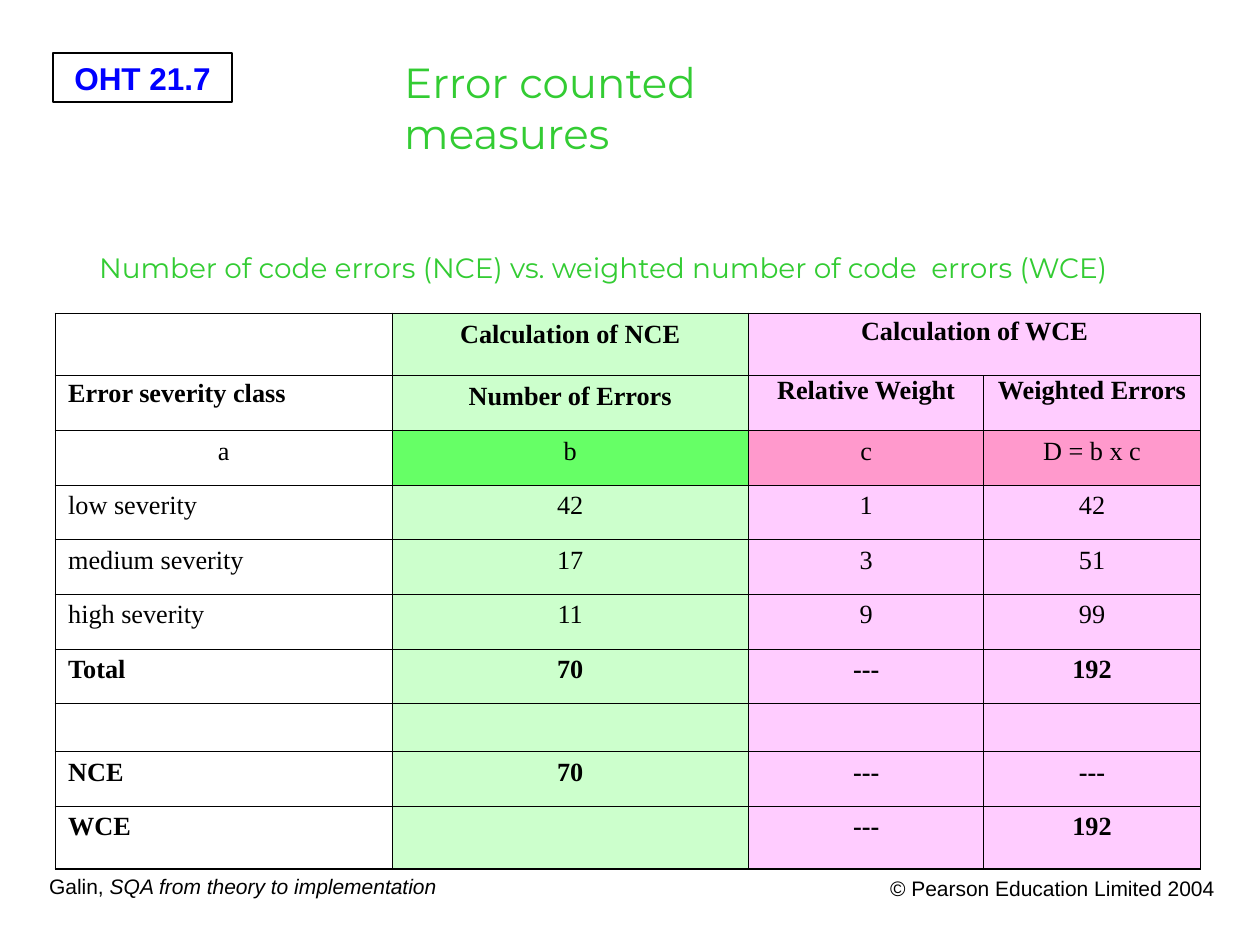
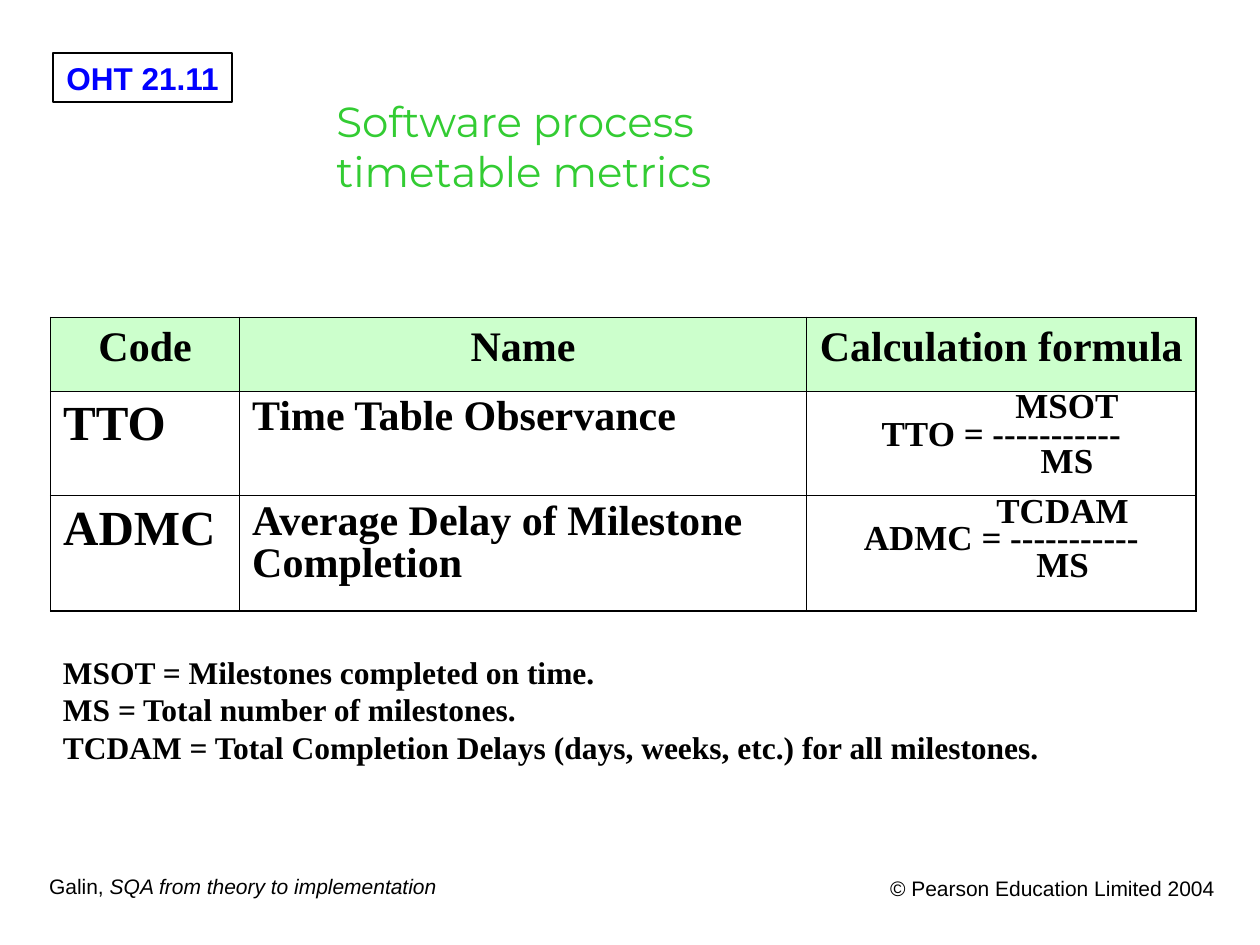
from lxml.etree import SubElement
from pptx import Presentation
from pptx.dml.color import RGBColor
from pptx.enum.shapes import MSO_SHAPE as Shape
from pptx.enum.text import MSO_ANCHOR as Anchor, PP_ALIGN as Align
from pptx.oxml.ns import qn
from pptx.util import Cm, Pt

BLACK, BLUE, GREEN = "000000", "0000FF", "33CC33"
PALE_GREEN, BRIGHT_GREEN = "CCFFCC", "66FF66"
PALE_PINK, PINK = "FFCCFF", "FF99CC"
SERIF, SANS, DISPLAY = "Times New Roman", "Arial", "Montserrat"
THIN, THICK = 0.45, 1.08


def rgb(value):
    """Turn a hex string into a colour."""
    return RGBColor.from_string(value)


def write(tf, text, size=12, font=SANS, color=BLACK, bold=False,
          align=Align.LEFT, spacing=None, indents=(), italic_tail=""):
    """Fill a text frame, one paragraph a line, with an optional italic ending."""
    for i, line in enumerate(text.split("\n")):
        p = tf.paragraphs[0] if i == 0 else tf.add_paragraph()
        p.alignment = align
        if spacing:
            p.line_spacing = spacing
        if indents and indents[i]:
            p._p.get_or_add_pPr().set("marL", str(Cm(indents[i])))
        for part, italic in ((line, False), (italic_tail, True)):
            if part:
                r = p.add_run()
                r.text = part
                r.font.size, r.font.name = Pt(size), font
                r.font.bold, r.font.italic = bold, italic
                r.font.color.rgb = rgb(color)


def draw_border(cell, side, width):
    """Add one border line to a table cell."""
    ln = SubElement(cell._tc.get_or_add_tcPr(), qn(f"a:ln{side}"), w=str(Pt(width)))
    fill = SubElement(ln, qn("a:solidFill"))
    SubElement(fill, qn("a:srgbClr"), val=BLACK)


class Deck:
    """Hold the shared style and the current slide."""

    def __init__(self):
        """Start a 4:3 presentation."""
        self.prs = Presentation()
        self.prs.slide_width, self.prs.slide_height = Cm(25.4), Cm(19.05)
        self.s = None

    def slide(self, number):
        """Add a slide with its number tag and footers."""
        self.s = self.prs.slides.add_slide(self.prs.slide_layouts[6])
        self.tag(f"OHT {number}")
        self.text((0.74, 17.48, 8.33, 0.76), "Galin, ", wrap=False,
                  italic_tail="SQA from theory to implementation")
        self.text((16.87, 17.53, 7.87, 0.99), "© Pearson Education Limited 2004",
                  align=Align.RIGHT)

    def tag(self, label):
        """Draw the framed slide number."""
        sp = self.s.shapes.add_shape(Shape.RECTANGLE, Cm(1.07), Cm(1.07), Cm(3.61), Cm(0.99))
        sp.shadow.inherit = False
        sp.fill.background()
        sp.line.color.rgb = rgb(BLACK)
        sp.line.width = Pt(0.75)
        tf = sp.text_frame
        tf.word_wrap, tf.vertical_anchor = False, Anchor.TOP
        write(tf, label, size=18, color=BLUE, bold=True, align=Align.CENTER)

    def text(self, box, text, wrap=True, **style):
        """Add a text box."""
        sp = self.s.shapes.add_textbox(*map(Cm, box))
        sp.text_frame.word_wrap = wrap
        write(sp.text_frame, text, **style)

    def title(self, box, text, size=24):
        """Add a green heading centred as a block."""
        self.text(box, text, wrap=False, size=size, font=DISPLAY, color=GREEN)

    def table(self, left, top, widths, heights, rows, style, fill, merges=()):
        """Add a table; style and fill give the look of a cell by row and column."""
        shape = self.s.shapes.add_table(len(heights), len(widths), Cm(left), Cm(top),
                                        Cm(sum(widths)), Cm(sum(heights)))
        table = shape.table
        table.first_row = table.horz_banding = False
        for column, width in zip(table.columns, widths):
            column.width = Cm(width)
        for row, height in zip(table.rows, heights):
            row.height = Cm(height)
        for start, end in merges:
            table.cell(*start).merge(table.cell(*end))
        for i, row in enumerate(rows):
            for j, text in enumerate(row):
                cell = table.cell(i, j)
                last = j + cell.span_width == len(widths)
                edges = {"L": j == 0, "R": last, "T": i == 0, "B": i == len(rows) - 1}
                for side, outer in edges.items():
                    draw_border(cell, side, THICK if outer else THIN)
                color = fill(i, j)
                if color:
                    cell.fill.solid()
                    cell.fill.fore_color.rgb = rgb(color)
                else:
                    cell.fill.background()
                if text:
                    write(cell.text_frame, text, font=SERIF, **style(i, j))
                else:
                    cell.margin_top = cell.margin_bottom = 0


def error_style(i, j):
    """Give the text format of an error table cell."""
    spacing = {(0, 2): 0.9, (1, 0): 0.9, (1, 2): 0.75, (1, 3): 0.75}.get((i, j))
    left = j == 0 and i != 2
    return dict(size=15, bold=not 2 <= i <= 5, spacing=spacing,
                align=Align.LEFT if left else Align.CENTER)


def error_fill(i, j):
    """Give the fill of an error table cell."""
    colors = (None, BRIGHT_GREEN, PINK, PINK) if i == 2 else (
        None, PALE_GREEN, PALE_PINK, PALE_PINK)
    return colors[j]


def metric_style(i, j):
    """Give the text format of a timetable metrics cell."""
    if i == 0:
        return dict(size=24, bold=True, align=Align.CENTER)
    if j == 2:
        shift = 2.65 if i == 1 else 2.47
        return dict(size=20, bold=True, align=Align.CENTER, spacing=0.7,
                    indents=(shift, 0, shift))
    return dict(size=24 if j else 28, bold=True, spacing=0.9 if j else None)


def metric_fill(i, j):
    """Give the fill of a timetable metrics cell."""
    return PALE_GREEN if i == 0 else None


def error_slide(deck):
    """Build the slide on error counted measures."""
    deck.slide("21.7")
    rows = [
        ("", "Calculation of NCE", "Calculation of WCE", ""),
        ("Error severity class", "Number of Errors", "Relative Weight", "Weighted Errors"),
        ("a", "b", "c", "D = b x c"),
        ("low severity", "42", "1", "42"),
        ("medium severity", "17", "3", "51"),
        ("high severity", "11", "9", "99"),
        ("Total", "70", "---", "192"),
        ("", "", "", ""),
        ("NCE", "70", "---", "---"),
        ("WCE", "", "---", "192"),
    ]
    heights = [1.25, 1.11] + [1.1] * 5 + [0.97, 1.1, 1.27]
    deck.table(1.12, 6.32, (6.78, 7.19, 4.74, 4.37), heights, rows,
               error_style, error_fill, merges=[((0, 2), (0, 3))])
    deck.title((7.9, 1.02, 9.5, 3.2), "Error counted\nmeasures")
    deck.title((1.75, 4.93, 21.79, 0.79),
               "Number of code errors (NCE) vs. weighted number of code  errors (WCE)", size=16)


def timetable_slide(deck):
    """Build the slide on timetable metrics."""
    deck.slide("21.11")
    rows = [
        ("Code", "Name", "Calculation formula"),
        ("TTO", "Time Table Observance", "MSOT\nTTO = -----------\nMS"),
        ("ADMC", "Average Delay of Milestone Completion", "TCDAM\nADMC = -----------\nMS"),
    ]
    deck.table(1.02, 6.4, (3.81, 11.43, 7.85), (1.48, 2.11, 2.33), rows,
               metric_style, metric_fill)
    deck.text((1.02, 13.03, 23.29, 2.54),
              "MSOT = Milestones completed on time.\n"
              "MS = Total number of milestones.\n"
              "TCDAM = Total Completion Delays (days, weeks, etc.) for all milestones.",
              size=18, font=SERIF, bold=True)
    deck.title((6.53, 1.8, 12.29, 3.12), "Software process\ntimetable metrics")


def main():
    """Build and save the deck."""
    deck = Deck()
    error_slide(deck)
    timetable_slide(deck)
    deck.prs.save("out.pptx")


if __name__ == "__main__":
    main()
